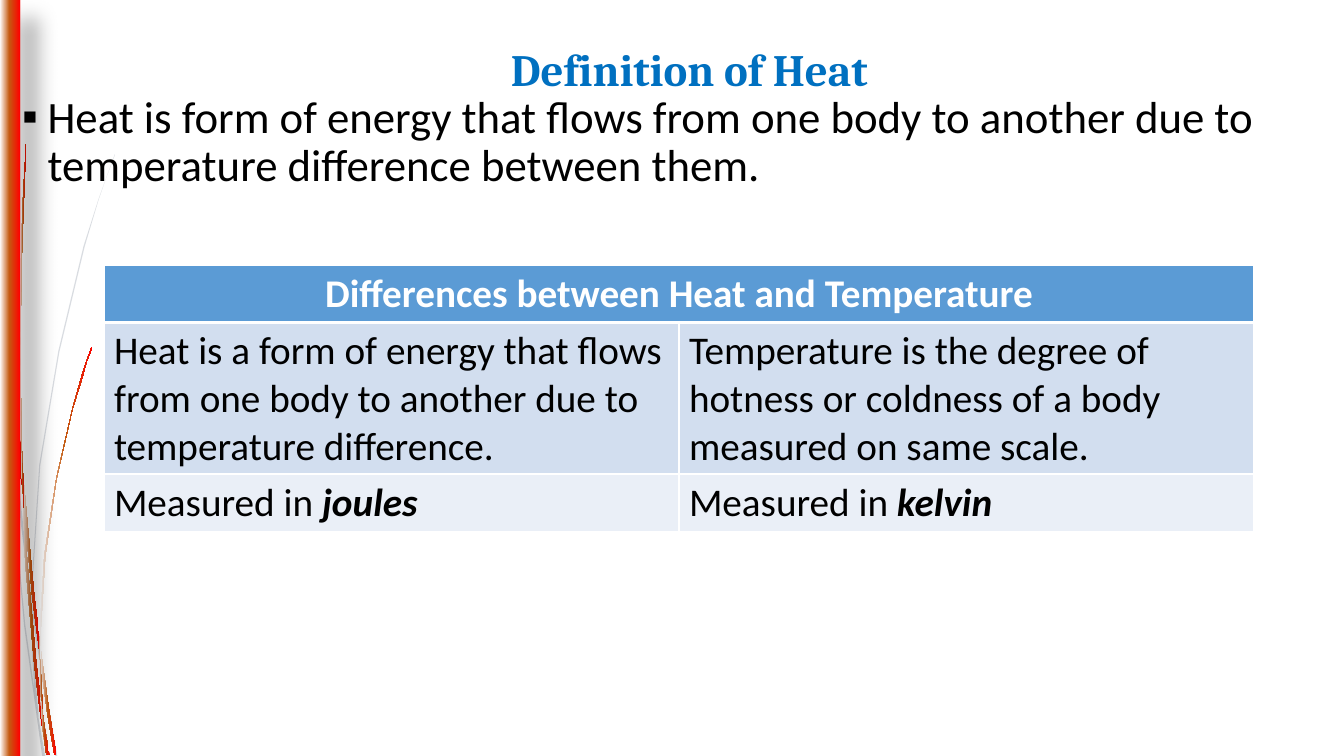
import dataclasses

import pptx
import pptx.dml.color
import pptx.enum.shapes
import pptx.enum.text
import pptx.oxml.ns
import pptx.util
from lxml import etree

Cm = pptx.util.Cm
Pt = pptx.util.Pt
ALIGN = pptx.enum.text.PP_ALIGN
ANCHOR = pptx.enum.text.MSO_ANCHOR


@dataclasses.dataclass(frozen=True)
class Theme:
    heading: str = "0070C0"
    ink: str = "000000"
    white: str = "FFFFFF"
    wisp: str = "44546A"
    header: str = "5B9BD5"
    bands: tuple = ("D2DEEF", "EAEFF7")
    flame: tuple = ((0, "FFFFFF"), (46, "C55A11"), (100, "FF0000"))
    heading_font: str = "Cambria"
    body_font: str = "Calibri"
    text_size: int = 32
    table_size: int = 28


# Outlines of the curved blades, in hundredths of an inch.
GREY_BLADES = (
    ((4, 350), (3, 322), (0, 282), (0, 299), (4, 344)),
    ((21, 522), (31, 599), (31, 586), (23, 520), (5, 345), (6, 376)),
    ((34, 607), (32, 596), (32, 610), (45, 694), (55, 751), (57, 751), (47, 692)),
    ((44, 751), (45, 751), (38, 711)),
    ((34, 683), (25, 619), (11, 469), (6, 376), (4, 350), (10, 470), (24, 621),
     (34, 693), (37, 714), (36, 707)),
    ((3, 316), (3, 322), (5, 344), (5, 345), (4, 315), (2, 161), (4, 25), (3, 25),
     (1, 161)),
    ((3, 322), (4, 350), (6, 376), (5, 345), (5, 344)),
    ((31, 599), (32, 646), (34, 683), (35, 692), (38, 711), (38, 706), (33, 646),
     (32, 610), (32, 608)),
    ((32, 584), (40, 462), (59, 349), (84, 245), (98, 198), (106, 175), (114, 154),
     (114, 153), (106, 175), (98, 197), (83, 244), (58, 348), (39, 461), (31, 584),
     (31, 586), (32, 596)),
    ((37, 714), (42, 751), (43, 751)),
    ((32, 608), (32, 610), (32, 596), (31, 586), (31, 599)),
    ((35, 692), (34, 683), (36, 707), (37, 714), (43, 751), (44, 751), (38, 711)),
)
FLAME_BLADES = (
    ((4, 110), (8, 233), (13, 355), (21, 477), (22, 481), (21, 457), (21, 453),
     (14, 355), (8, 232), (5, 109), (4, 48), (3, 0), (3, 48)),
    ((32, 592), (39, 645), (39, 633), (39, 631), (34, 590), (23, 472), (24, 505)),
    ((41, 649), (40, 641), (40, 656), (47, 708), (54, 749), (56, 749), (49, 706)),
    ((40, 691), (36, 657), (27, 556), (24, 505), (22, 477), (25, 557), (34, 659),
     (40, 708), (42, 722), (42, 717)),
    ((23, 472), (22, 453), (20, 349), (22, 245), (24, 193), (26, 141), (23, 193),
     (21, 245), (20, 349), (21, 449), (22, 472)),
    ((48, 749), (49, 749), (44, 719)),
    ((22, 477), (24, 505), (23, 472), (21, 449), (21, 453)),
    ((40, 633), (45, 552), (56, 476), (72, 406), (82, 374), (86, 359), (92, 344),
     (91, 344), (86, 358), (81, 373), (72, 405), (56, 474), (44, 551), (39, 631),
     (40, 641)),
    ((42, 722), (46, 749), (47, 749)),
    ((39, 645), (40, 691), (42, 706), (44, 719), (43, 716), (40, 656), (39, 651)),
    ((39, 645), (39, 651), (40, 656), (40, 641), (39, 631), (39, 633)),
    ((42, 706), (40, 691), (42, 717), (42, 722), (47, 749), (48, 749), (44, 719)),
)


def rgb(value):
    return pptx.dml.color.RGBColor.from_string(value)


def add_node(parent, tag, **attributes):
    node = etree.SubElement(parent, pptx.oxml.ns.qn(tag))
    for name, value in attributes.items():
        node.set(name, str(value))
    return node


class SlideBuilder:
    def __init__(self, slide, theme):
        self.slide = slide
        self.theme = theme

    def fill_flame(self, shape):
        shape.fill.gradient()
        shape.fill.gradient_angle = 0
        stops = shape._element.spPr.find(".//" + pptx.oxml.ns.qn("a:gsLst"))
        for stop in list(stops):
            stops.remove(stop)
        for position, color in self.theme.flame:
            stop = add_node(stops, "a:gs", pos=position * 1000)
            add_node(stop, "a:srgbClr", val=color)

    def blade(self, points, flame):
        builder = self.slide.shapes.build_freeform(*points[0], scale=Cm(2.54) / 100)
        builder.add_line_segments(points[1:], close=True)
        shape = builder.convert_to_shape()
        shape.shadow.inherit = False
        shape.line.fill.background()
        if flame:
            self.fill_flame(shape)
        else:
            shape.fill.solid()
            shape.fill.fore_color.rgb = rgb(self.theme.wisp)
            color = shape._element.spPr.find(".//" + pptx.oxml.ns.qn("a:srgbClr"))
            add_node(color, "a:alpha", val=20000)

    def side_bar(self, width, height):
        bar = self.slide.shapes.add_shape(
            pptx.enum.shapes.MSO_SHAPE.RECTANGLE, 0, 0, width, height)
        bar.shadow.inherit = False
        bar.line.fill.background()
        self.fill_flame(bar)
        effects = bar._element.spPr.find(pptx.oxml.ns.qn("a:effectLst"))
        shadow = add_node(effects, "a:outerShdw", blurRad=Pt(15), dist=Pt(18),
                          dir=45 * 60000, algn="tl", rotWithShape=0)
        color = add_node(shadow, "a:srgbClr", val=self.theme.ink)
        add_node(color, "a:alpha", val=30000)

    def add_span(self, para, text, **format_values):
        span = para.add_run()
        span.text = text
        color = format_values.pop("color", self.theme.ink)
        settings = {"name": self.theme.body_font, "size": Pt(self.theme.text_size),
                    "bold": False, "italic": False, **format_values}
        for name, value in settings.items():
            setattr(span.font, name, value)
        span.font.color.rgb = rgb(color)

    def text_box(self, place, **frame_values):
        """Add an empty text box and return its first paragraph."""
        frame = self.slide.shapes.add_textbox(*map(Cm, place)).text_frame
        for name, value in {"word_wrap": True, **frame_values}.items():
            setattr(frame, name, value)
        para = frame.paragraphs[0]
        para.line_spacing = 0.9
        return para

    def title(self, text, place):
        para = self.text_box(place, vertical_anchor=ANCHOR.MIDDLE)
        para.alignment = ALIGN.CENTER
        self.add_span(para, text, name=self.theme.heading_font, bold=True,
                      color=self.theme.heading)

    def bullet(self, text, place):
        margins = ("margin_left", "margin_top", "margin_right", "margin_bottom")
        para = self.text_box(place, **dict.fromkeys(margins, 0))
        properties = para._p.get_or_add_pPr()
        properties.set("marL", str(Cm(0.64)))
        properties.set("indent", str(-Cm(0.64)))
        add_node(properties, "a:buFont", typeface="Arial")
        add_node(properties, "a:buChar", char="▪")
        self.add_span(para, text)

    def cell(self, cell, spans, fill, top, bottom):
        properties = cell._tc.get_or_add_tcPr()
        for side, width in (("L", 1), ("R", 1), ("T", top), ("B", bottom)):
            line = add_node(properties, f"a:ln{side}", w=Pt(width))
            add_node(add_node(line, "a:solidFill"), "a:srgbClr", val=self.theme.white)
        cell.fill.solid()
        cell.fill.fore_color.rgb = rgb(fill)
        for text, emphasis in spans:
            self.add_span(cell.text_frame.paragraphs[0], text, bold=emphasis,
                          italic=emphasis, size=Pt(self.theme.table_size))

    def comparison(self, heading, rows, place, heights):
        table = self.slide.shapes.add_table(
            len(rows) + 1, 2, *map(Cm, place)).table
        table.horz_banding = False
        for row, height in zip(table.rows, heights):
            row.height = Cm(height)
        table.cell(0, 0).merge(table.cell(0, 1))
        for column in range(2):
            self.cell(table.cell(0, column), (), self.theme.header, 1, 3)
        para = table.cell(0, 0).text_frame.paragraphs[0]
        para.alignment = ALIGN.CENTER
        self.add_span(para, heading, size=Pt(self.theme.table_size), bold=True,
                      color=self.theme.white)
        for index, (row, fill) in enumerate(zip(rows, self.theme.bands), start=1):
            for column, spans in enumerate(row):
                self.cell(table.cell(index, column), spans, fill,
                          3 if index == 1 else 1, 1)


def main():
    deck = pptx.Presentation()
    deck.slide_width, deck.slide_height = Cm(33.87), Cm(19.05)
    page = SlideBuilder(deck.slides.add_slide(deck.slide_layouts[6]), Theme())
    for flame, blades in ((False, GREY_BLADES), (True, FLAME_BLADES)):
        for points in blades:
            page.blade(points, flame)
    page.side_bar(Cm(0.51), deck.slide_height)
    page.title("Definition of Heat", (3.18, 0.33, 28.4, 2.97))
    page.bullet("Heat is form of energy that flows from one body to another due to "
                "temperature difference between them.", (0.56, 2.39, 32.51, 16.03))
    rows = (
        ((("Heat is a form of energy that flows from one body to another due to "
           "temperature difference.", False),),
         (("Temperature is the degree of hotness or coldness of a body measured "
           "on same scale.", False),)),
        ((("Measured in ", False), ("joules", True)),
         (("Measured in ", False), ("kelvin", True))),
    )
    page.comparison("Differences between Heat and Temperature", rows,
                    (2.62, 6.68, 28.98, 6.68), (1.45, 3.81, 1.42))
    deck.save("out.pptx")


if __name__ == "__main__":
    main()
